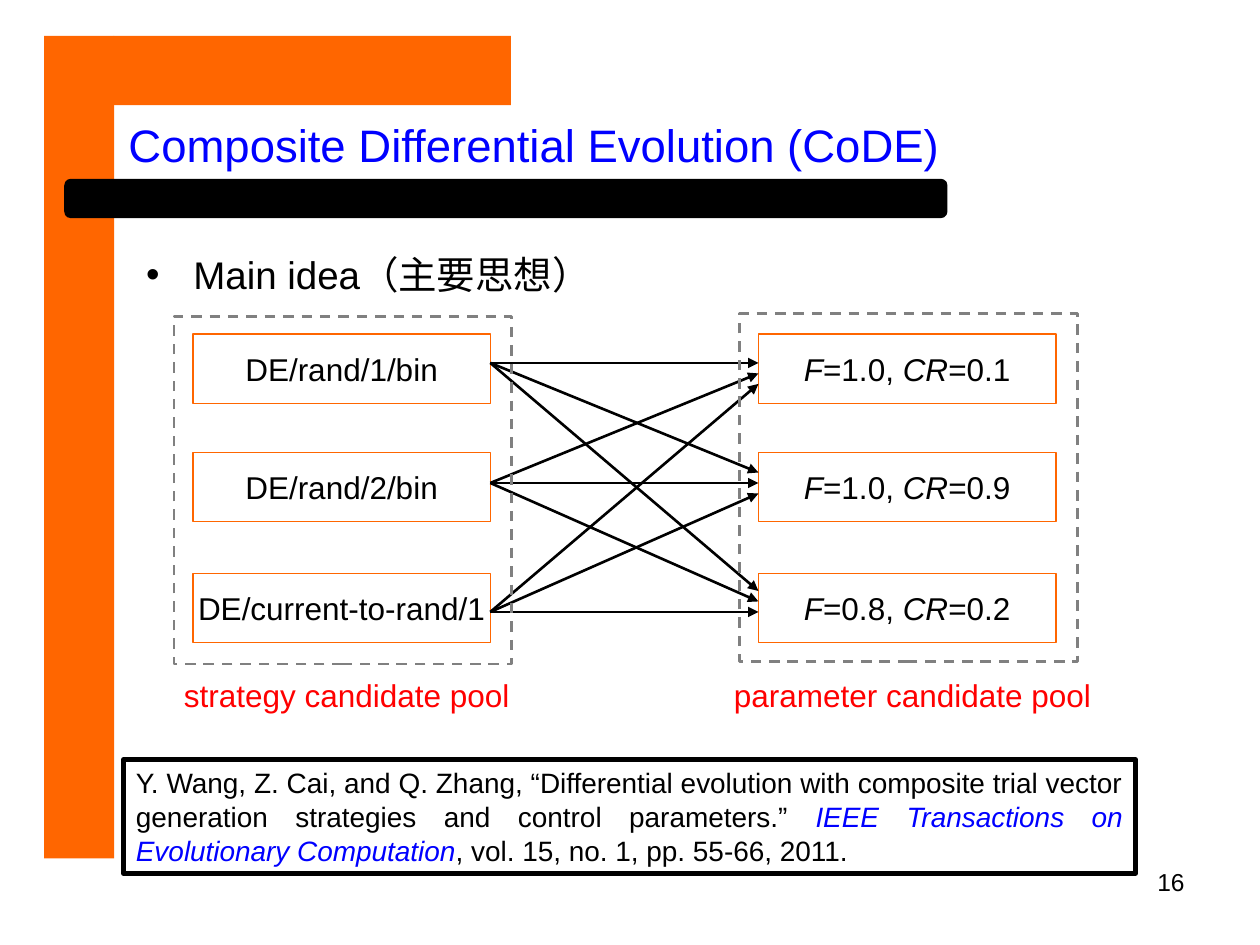
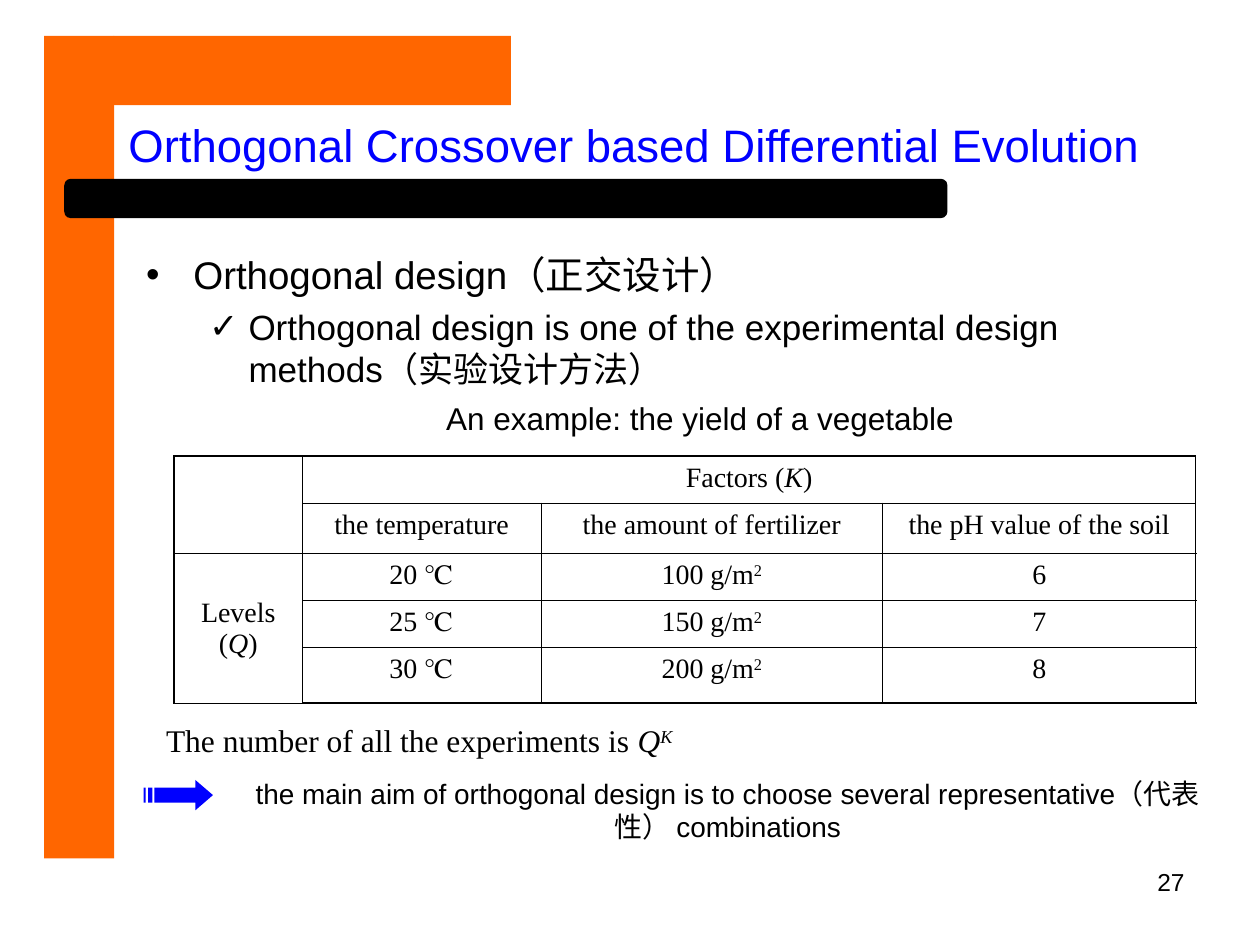
"""Build two slides on differential evolution: candidate pools and orthogonal design."""
import pptx
import pptx.dml.color
import pptx.enum.dml
import pptx.enum.shapes
import pptx.enum.text
import pptx.oxml.ns
import pptx.util
from lxml import etree

Pt = pptx.util.Pt
RGBColor = pptx.dml.color.RGBColor
ALIGN = pptx.enum.text.PP_ALIGN
MIDDLE = pptx.enum.text.MSO_ANCHOR.MIDDLE
PRESET = pptx.enum.shapes.MSO_SHAPE
qn = pptx.oxml.ns.qn

ORANGE = RGBColor(0xFF, 0x66, 0x00)
BLACK = RGBColor(0, 0, 0)
BLUE = RGBColor(0, 0, 0xFF)
RED = RGBColor(0xFF, 0, 0)
GREY = RGBColor(0x80, 0x80, 0x80)
SANS, SERIF = "Arial", "Times New Roman"

BANDS = [
    (PRESET.RECTANGLE, (25.2, 20.5, 40, 470), ORANGE),
    (PRESET.RECTANGLE, (65, 20.5, 227, 39.6), ORANGE),
    (PRESET.ROUNDED_RECTANGLE, (36.7, 102.2, 504.7, 22.5), BLACK),
]
BULLETS = [
    {"char": "•", "margin": 27, "hang": 27, "size": 22, "before": 0},
    {"char": "✓", "margin": 58.5, "hang": 22.5, "size": 20, "before": 5},
]

CODE = {
    "title": "Composite Differential Evolution (CoDE)",
    "number": "16",
    "points": [(0, "Main idea（主要思想）")],
    "body_size": (607.7, 334.8),
}
POOLS = [
    {"label": "strategy candidate pool", "left": 110.2, "frame_top": 180.7,
     "members": [[("DE/rand/1/bin", "")], [("DE/rand/2/bin", "")],
                 [("DE/current-to-rand/1", "")]]},
    {"label": "parameter candidate pool", "left": 433.4, "frame_top": 179.3,
     "members": [[("F", "i"), (f"={f}, ", ""), ("CR", "i"), (f"={cr}", "")]
                 for f, cr in [("1.0", "0.1"), ("1.0", "0.9"), ("0.8", "0.2")]]},
]
MEMBER_TOPS = [190.8, 258.5, 327.6]
MEMBER_WIDTH, MEMBER_HEIGHT = 170, 39.6
FIRST_PORTS = [207.4, 270, 337.7]
PORT_GAP = 6
CITATION = [
    ("Y. Wang, Z. Cai, and Q. Zhang, “Differential evolution with composite trial vector "
     "generation strategies and control parameters.” ", ""),
    ("IEEE Transactions on Evolutionary Computation", "ib"),
    (", vol. 15, no. 1, pp. 55-66, 2011.", ""),
]

ORTHOGONAL = {
    "title": "Orthogonal Crossover based Differential Evolution",
    "number": "27",
    "points": [
        (0, "Orthogonal design（正交设计）"),
        (1, "Orthogonal design is one of the experimental design methods（实验设计方法）"),
    ],
    "body_size": (584, 96.5),
}
EXAMPLE = "An example: the yield of a vegetable"
FACTORS = ["the temperature", "the amount of fertilizer", "the pH value of the soil"]
LEVELS = [("20", "100", "6"), ("25", "150", "7"), ("30", "200", "8")]
COLUMN_WIDTHS = [73.5, 136.2, 195.4, 178.8]
ROW_HEIGHTS = [26.8, 28, 26.8, 26.8, 32]
EXPERIMENTS = [("The number of all the experiments is ", ""), ("Q", "i"), ("K", "i^")]
AIM = ("the main aim of orthogonal design is to choose several "
       "representative（代表性） combinations")
ARROW_ORIGIN = (82.1, 445.7)
ARROW_OUTLINES = [
    [(29.5, 0), (29.5, 4.4), (6.2, 4.4), (6.2, 13), (29.5, 13), (29.5, 17.4), (39.6, 8.7)],
    [(2.5, 4.4), (2.5, 13), (5, 13), (5, 4.4)],
    [(0, 4.4), (0, 13), (1.2, 13), (1.2, 4.4)],
]


def points(lengths):
    return [Pt(length) for length in lengths]


def place(placeholder, box):
    placeholder.left, placeholder.top, placeholder.width, placeholder.height = points(box)


def write(paragraph, content, size, color=BLACK, font=SANS, align=ALIGN.LEFT):
    """Write a string, or (text, style) pairs: i italic, b blue, ^ superscript."""
    paragraph.alignment = align
    paragraph.font.name = font
    paragraph.font.size = Pt(size)
    paragraph.font.color.rgb = color
    for text, style in [(content, "")] if isinstance(content, str) else content:
        run = paragraph.add_run()
        run.text = text
        if "i" in style:
            run.font.italic = True
        if "b" in style:
            run.font.color.rgb = BLUE
        if "^" in style:
            run._r.get_or_add_rPr().set("baseline", "30000")


def add_label(slide, box, content, size, anchor=None, **look):
    frame = slide.shapes.add_textbox(*points(box)).text_frame
    frame.word_wrap = True
    frame.vertical_anchor = anchor
    write(frame.paragraphs[0], content, size, **look)


def add_box(slide, box, preset=PRESET.RECTANGLE, fill=None, line=None, weight=0.75):
    shape = slide.shapes.add_shape(preset, *points(box))
    shape.shadow.inherit = False
    if fill is None:
        shape.fill.background()
    else:
        shape.fill.solid()
        shape.fill.fore_color.rgb = fill
    if line is None:
        shape.line.fill.background()
    else:
        shape.line.color.rgb = line
        shape.line.width = Pt(weight)
    return shape


def add_bullet(paragraph, char, margin, hang):
    properties = paragraph._p.get_or_add_pPr()
    properties.set("marL", str(Pt(margin)))
    properties.set("indent", str(-Pt(hang)))
    color = etree.SubElement(properties, qn("a:buClr"))
    etree.SubElement(color, qn("a:srgbClr"), val=str(BLACK))
    etree.SubElement(properties, qn("a:buFont"), typeface=SANS)
    etree.SubElement(properties, qn("a:buChar"), char=char)


def start_slide(deck, content):
    slide = deck.slides.add_slide(deck.slide_layouts[1])
    for preset, box, color in BANDS:
        add_box(slide, box, preset, fill=color)

    title = slide.shapes.title
    place(title, (66.2, 65.5, 634, 33.8))
    title.text_frame.auto_size = pptx.enum.text.MSO_AUTO_SIZE.NONE
    title.text_frame.vertical_anchor = MIDDLE
    write(title.text_frame.paragraphs[0], content["title"], 26, BLUE)

    body = slide.placeholders[1]
    place(body, (76.3, 139.7, *content["body_size"]))
    frame = body.text_frame
    frame.auto_size = pptx.enum.text.MSO_AUTO_SIZE.NONE
    for index, (level, text) in enumerate(content["points"]):
        paragraph = frame.add_paragraph() if index else frame.paragraphs[0]
        bullet = BULLETS[level]
        paragraph.level = level
        add_bullet(paragraph, bullet["char"], bullet["margin"], bullet["hang"])
        paragraph.space_before = Pt(bullet["before"])
        write(paragraph, text, bullet["size"])

    add_label(slide, (516.2, 491.8, 167.8, 37.4), content["number"], 14, align=ALIGN.RIGHT)
    return slide


def add_arrow(slide, start, end):
    arrow = slide.shapes.add_connector(
        pptx.enum.shapes.MSO_CONNECTOR.STRAIGHT, *points(start + end))
    arrow.line.color.rgb = BLACK
    arrow.line.width = Pt(1.5)
    etree.SubElement(arrow.line._get_or_add_ln(), qn("a:tailEnd"), type="triangle")
    etree.SubElement(arrow._element.spPr, qn("a:effectLst"))


def build_code(deck):
    slide = start_slide(deck, CODE)
    for pool in POOLS:
        left = pool["left"]
        add_label(slide, (left - 39.5, 380.2, 255, 33.8), pool["label"], 18, MIDDLE,
                  color=RED, align=ALIGN.CENTER)
        for top, member in zip(MEMBER_TOPS, pool["members"]):
            box = add_box(slide, (left, top, MEMBER_WIDTH, MEMBER_HEIGHT), line=ORANGE)
            box.text_frame.word_wrap = False
            box.text_frame.vertical_anchor = MIDDLE
            write(box.text_frame.paragraphs[0], member, 18, align=ALIGN.CENTER)

    strategies, parameters = POOLS
    for source, source_port in enumerate(FIRST_PORTS):
        start = (strategies["left"] + MEMBER_WIDTH, source_port + source * PORT_GAP)
        for target_port in FIRST_PORTS:
            add_arrow(slide, start, (parameters["left"], target_port + source * PORT_GAP))

    for pool in POOLS:
        frame = add_box(slide, (pool["left"] - 10.8, pool["frame_top"], 193, 198.7),
                        line=GREY, weight=1.5)
        frame.line.dash_style = pptx.enum.dml.MSO_LINE.DASH

    citation = add_box(slide, (70.6, 434.2, 578.2, 64.8), line=BLACK, weight=3)
    citation.text_frame.word_wrap = True
    citation.text_frame.vertical_anchor = pptx.enum.text.MSO_ANCHOR.TOP
    write(citation.text_frame.paragraphs[0], CITATION, 16, align=ALIGN.JUSTIFY)


def set_borders(cell, outer_sides):
    properties = cell._tc.get_or_add_tcPr()
    for index, (side, outer) in enumerate(outer_sides.items()):
        line = etree.Element(qn(f"a:ln{side}"), w=str(Pt(1.08 if outer else 0.45)))
        fill = etree.SubElement(line, qn("a:solidFill"))
        etree.SubElement(fill, qn("a:srgbClr"), val=str(BLACK))
        properties.insert(index, line)


def add_factor_table(slide):
    rows, columns = len(ROW_HEIGHTS), len(COLUMN_WIDTHS)
    table = slide.shapes.add_table(
        rows, columns,
        *points((99.4, 260.6, sum(COLUMN_WIDTHS), sum(ROW_HEIGHTS)))).table
    table.first_row = table.horz_banding = False
    for column, width in zip(table.columns, COLUMN_WIDTHS):
        column.width = Pt(width)
    for row, height in zip(table.rows, ROW_HEIGHTS):
        row.height = Pt(height)

    for r in range(rows):
        for c in range(columns):
            cell = table.cell(r, c)
            cell.fill.background()
            set_borders(cell, {"L": c == 0, "R": c == columns - 1,
                               "T": r == 0, "B": r == rows - 1})
    for first, last in [((0, 0), (1, 0)), ((0, 1), (0, 3)), ((2, 0), (4, 0))]:
        table.cell(*first).merge(table.cell(*last))

    contents = {(0, 1): [("Factors (", ""), ("K", "i"), (")", "")],
                (2, 0): [("Levels (", ""), ("Q", "i"), (")", "")]}
    for c, factor in enumerate(FACTORS, 1):
        contents[1, c] = factor
    for r, (temperature, fertilizer, ph) in enumerate(LEVELS, 2):
        contents[r, 1] = f"{temperature} ℃"
        contents[r, 2] = [(f"{fertilizer} g/m", ""), ("2", "^")]
        contents[r, 3] = ph
    for position, content in contents.items():
        write(table.cell(*position).text_frame.paragraphs[0], content, 16,
              font=SERIF, align=ALIGN.CENTER)
    table.cell(2, 0).vertical_anchor = MIDDLE


def add_striped_arrow(slide):
    first, *others = [[points(corner) for corner in outline] for outline in ARROW_OUTLINES]
    builder = slide.shapes.build_freeform(*first[0])
    builder.add_line_segments(first[1:])
    for outline in others:
        builder.move_to(*outline[0])
        builder.add_line_segments(outline[1:])
    arrow = builder.convert_to_shape(*points(ARROW_ORIGIN))
    arrow.shadow.inherit = False
    arrow.fill.solid()
    arrow.fill.fore_color.rgb = BLUE
    arrow.line.fill.background()


def build_orthogonal(deck):
    slide = start_slide(deck, ORTHOGONAL)
    add_label(slide, (247, 224.6, 306, 28.8), EXAMPLE, 18, align=ALIGN.CENTER)
    add_factor_table(slide)
    add_label(slide, (87.8, 406, 368.6, 33.8), EXPERIMENTS, 18, MIDDLE, font=SERIF)
    add_label(slide, (126, 440, 579.6, 51), AIM, 16, align=ALIGN.CENTER)
    add_striped_arrow(slide)


def main():
    deck = pptx.Presentation()
    deck.slide_width, deck.slide_height = Pt(720), Pt(540)
    build_code(deck)
    build_orthogonal(deck)
    deck.save("out.pptx")


if __name__ == "__main__":
    main()
